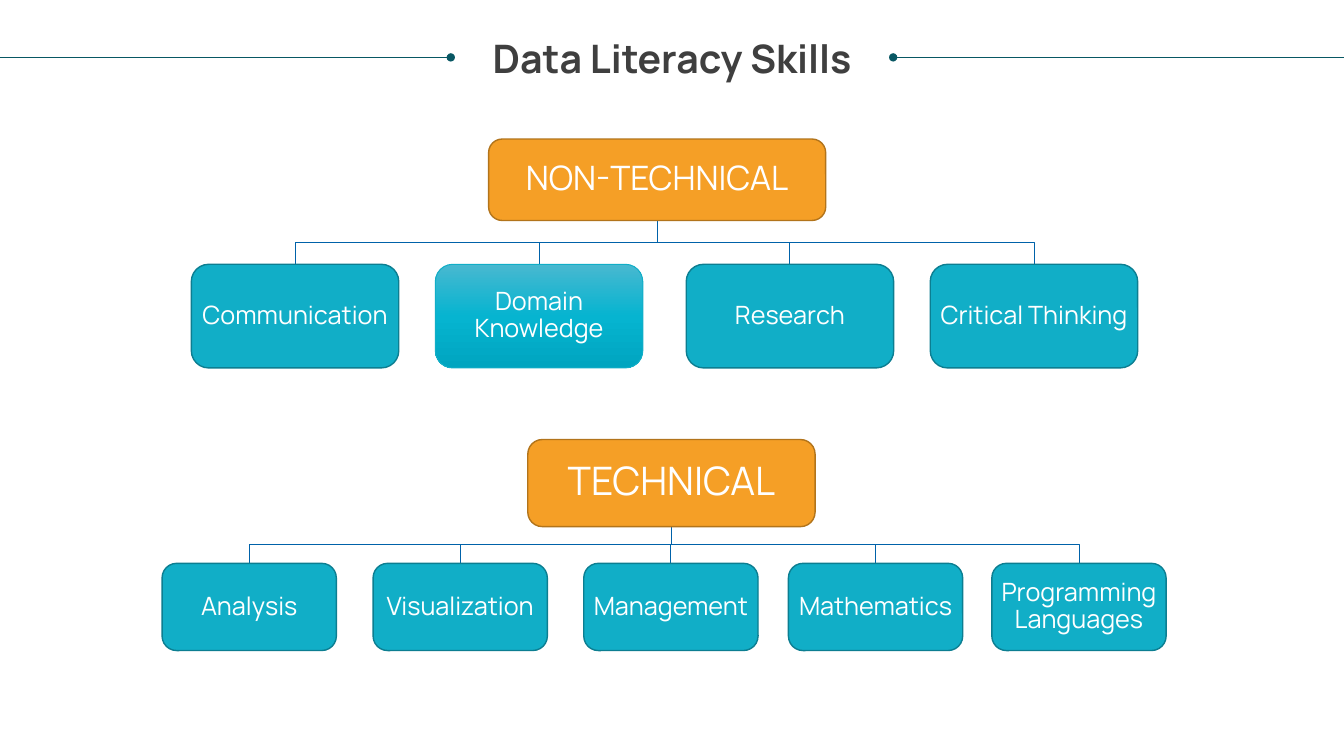
from copy import deepcopy

from pptx import Presentation
from pptx.dml.color import RGBColor
from pptx.enum.shapes import MSO_CONNECTOR, MSO_SHAPE
from pptx.enum.text import MSO_ANCHOR, MSO_AUTO_SIZE, PP_ALIGN
from pptx.oxml.ns import qn
from pptx.util import Pt
from lxml import etree

TITLE = "Data Literacy Skills"
HIGHLIGHTED = "Domain Knowledge"
# Boxes are (left, top, width, height) in points; children are (label, left).
TREES = [
    {
        "root": "NON-TECHNICAL", "root_size": 24, "root_box": (349, 99.3, 240.8, 58.2),
        "children": [("Communication", 136.7), ("Domain Knowledge", 311),
                     ("Research", 490.2), ("Critical Thinking", 664.5)],
        "child_top": 188.8, "child_width": 148.2, "child_height": 74,
    },
    {
        "root": "TECHNICAL", "root_size": 28, "root_box": (377, 314, 205.2, 62.2),
        "children": [("Analysis", 115.8), ("Visualization", 266.5), ("Management", 417),
                     ("Mathematics", 563.2), ("Programming Languages", 708.5)],
        "child_top": 402.4, "child_width": 124.5, "child_height": 62.3,
    },
]
# Start, end and the end that carries a dot
TITLE_RULES = [(0, 322, "a:tailEnd"), (638, 960, "a:headEnd")]
TITLE_RULE_Y = 41
CHILD_SIZE = 18

FONT = "Manrope"
WHITE = RGBColor(0xFF, 0xFF, 0xFF)
TITLE_GREY = RGBColor(0x3F, 0x3F, 0x3F)
RULE_TEAL = RGBColor(0x08, 0x57, 0x63)
BRANCH_BLUE = RGBColor(0x00, 0x62, 0xA9)
ORANGE = RGBColor(0xF5, 0x9F, 0x26)
ORANGE_EDGE = RGBColor(0xB2, 0x74, 0x1B)
TEAL = RGBColor(0x11, 0xAE, 0xC7)
TEAL_EDGE = RGBColor(0x0C, 0x7E, 0x91)
GRADIENT = [(0, RGBColor(0x48, 0xB8, 0xD0)), (0.5, RGBColor(0x06, 0xB4, 0xD0)),
            (1, RGBColor(0x00, 0xA5, 0xC0))]

ROUNDED = MSO_SHAPE.ROUNDED_RECTANGLE
STRAIGHT = MSO_CONNECTOR.STRAIGHT
CENTER = PP_ALIGN.CENTER


def write_text(shape, text, size, color, anchor, inset=0, bold=False):
    frame = shape.text_frame
    frame.word_wrap = True
    frame.auto_size = MSO_AUTO_SIZE.NONE
    frame.vertical_anchor = anchor
    frame.margin_left = frame.margin_right = Pt(inset)
    frame.margin_top = frame.margin_bottom = Pt(inset)
    para = frame.paragraphs[0]
    para.text = text
    para.alignment = CENTER
    para.line_spacing = 0.9
    para.font.name = FONT
    para.font.size = Pt(size)
    para.font.bold = bold
    para.font.color.rgb = color


def add_title(page):
    title = page.shapes.title
    title.left, title.top, title.width, title.height = Pt(18), Pt(28), Pt(924), Pt(30.2)
    write_text(title, TITLE, 28, TITLE_GREY, MSO_ANCHOR.TOP, bold=True)


def add_title_rule(page, start, end, dotted_end):
    rule = page.shapes.add_connector(
        STRAIGHT, Pt(start), Pt(TITLE_RULE_Y), Pt(end), Pt(TITLE_RULE_Y))
    rule.line.color.rgb = RULE_TEAL
    rule.line.width = Pt(0.75)
    properties = rule.element.spPr
    etree.SubElement(properties.find(qn("a:ln")), qn(dotted_end), type="oval")
    etree.SubElement(properties, qn("a:effectLst"))


def add_branch(page, root_x, root_bottom, child_x, child_top):
    """Draw the bent line from a root down to one child."""
    middle = (root_bottom + child_top) / 2
    builder = page.shapes.build_freeform(Pt(root_x), Pt(root_bottom))
    bends = [(root_x, middle), (child_x, middle), (child_x, child_top)]
    builder.add_line_segments([(Pt(x), Pt(y)) for x, y in bends], close=False)
    branch = builder.convert_to_shape()
    branch.shadow.inherit = False
    branch.fill.background()
    branch.line.color.rgb = BRANCH_BLUE
    branch.line.width = Pt(0.75)


def add_box(page, text, box, size, fill, edge, inset):
    shape = page.shapes.add_shape(ROUNDED, *map(Pt, box))
    shape.shadow.inherit = False
    shape.fill.solid()
    shape.fill.fore_color.rgb = fill
    shape.line.color.rgb = edge
    shape.line.width = Pt(1)
    write_text(shape, text, size, WHITE, MSO_ANCHOR.MIDDLE, inset)
    return shape


def highlight(shape):
    """Give a box the three-stop vertical gradient and a lighter edge."""
    shape.fill.gradient()
    shape.fill.gradient_angle = 270
    stop_list = shape.element.spPr.find(qn("a:gradFill")).find(qn("a:gsLst"))
    stop_list.append(deepcopy(stop_list[0]))
    for stop, (position, color) in zip(shape.fill.gradient_stops, GRADIENT):
        stop.position = position
        stop.color.rgb = color
    shape.line.color.rgb = TEAL
    shape.line.width = Pt(0.75)


def add_tree(page, tree):
    left, top, width, height = tree["root_box"]
    child_top, child_width = tree["child_top"], tree["child_width"]
    for label, child_left in tree["children"]:
        add_branch(page, left + width / 2, top + height,
                   child_left + child_width / 2, child_top)
    add_box(page, tree["root"], tree["root_box"], tree["root_size"],
            ORANGE, ORANGE_EDGE, 1.4)
    for label, child_left in tree["children"]:
        box = (child_left, child_top, child_width, tree["child_height"])
        child = add_box(page, label, box, CHILD_SIZE, TEAL, TEAL_EDGE, 0.7)
        if label == HIGHLIGHTED:
            highlight(child)


def main():
    deck = Presentation()
    deck.slide_width, deck.slide_height = Pt(960), Pt(540)
    page = deck.slides.add_slide(deck.slide_layouts[5])
    add_title(page)
    for start, end, dotted_end in TITLE_RULES:
        add_title_rule(page, start, end, dotted_end)
    for tree in TREES:
        add_tree(page, tree)
    deck.save("out.pptx")


if __name__ == "__main__":
    main()
